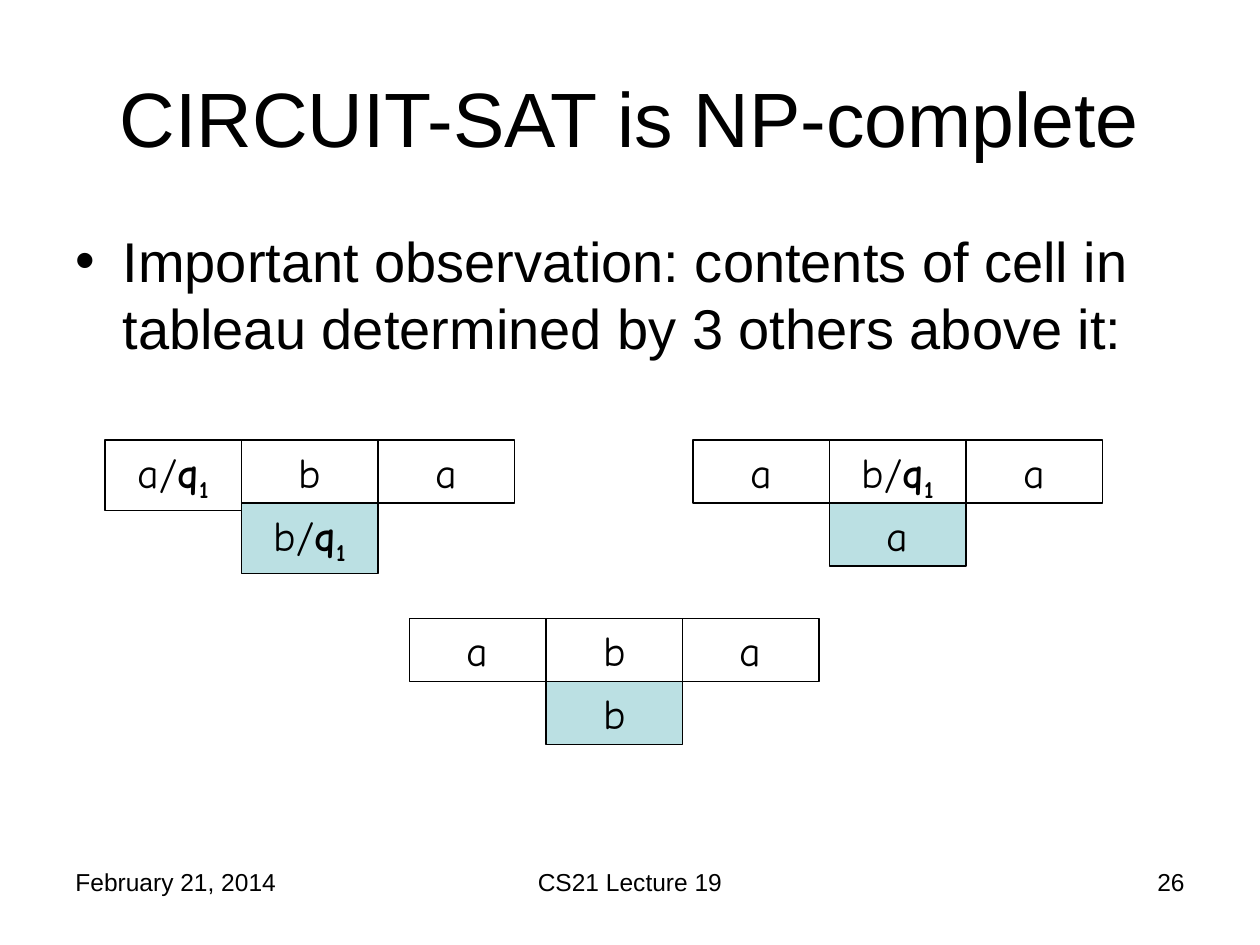
from dataclasses import dataclass

from lxml.etree import SubElement
from pptx import Presentation
from pptx.dml.color import RGBColor
from pptx.enum.shapes import MSO_SHAPE
from pptx.enum.text import MSO_ANCHOR, MSO_AUTO_SIZE, PP_ALIGN
from pptx.oxml.ns import qn
from pptx.util import Pt

PX = 7620  # EMU per px, 120 px to the inch


@dataclass(frozen=True)
class Theme:
    ink: RGBColor = RGBColor(0, 0, 0)
    teal: RGBColor = RGBColor(0xBB, 0xE0, 0xE3)
    sans: str = "Arial"
    hand: str = "Comic Neue"
    title: int = 44
    body: int = 32
    cell: int = 24
    foot: int = 14
    line: float = 0.75


THEME = Theme()


def emu(*sizes):
    return [size * PX for size in sizes]


def style(run, face, size):
    run.font.name = face
    run.font.size = Pt(size)
    run.font.color.rgb = THEME.ink


def add_text(slide, box, text, size, align=PP_ALIGN.LEFT, anchor=MSO_ANCHOR.TOP):
    frame = slide.shapes.add_textbox(*emu(*box)).text_frame
    frame.word_wrap = True
    frame.vertical_anchor = anchor
    frame.text = text
    para = frame.paragraphs[0]
    para.alignment = align
    style(para.runs[0], THEME.sans, size)
    return para


def add_title(slide, box):
    add_text(slide, box, "CIRCUIT-SAT is NP-complete", THEME.title,
             PP_ALIGN.CENTER, MSO_ANCHOR.MIDDLE)


def add_body(slide, box):
    para = add_text(slide, box, "Important observation: contents of cell in "
                    "tableau determined by 3 others above it:", THEME.body)
    # Hanging bullet
    props = para._p.get_or_add_pPr()
    indent = 45 * PX
    props.set("marL", str(indent))
    props.set("indent", str(-indent))
    SubElement(props, qn("a:buFont"), typeface=THEME.sans)
    SubElement(props, qn("a:buChar"), char="•")


def add_cell(slide, left, top, text, fill=None):
    # A cell that holds the head state is a little taller
    letter, slash, state = text.partition("/")
    high = 67 if state else 60
    cell = slide.shapes.add_shape(MSO_SHAPE.RECTANGLE, *emu(left, top, 130, high))
    cell.shadow.inherit = False
    cell.line.color.rgb = THEME.ink
    cell.line.width = Pt(THEME.line)
    if fill is None:
        cell.fill.background()
    else:
        cell.fill.solid()
        cell.fill.fore_color.rgb = fill

    frame = cell.text_frame
    frame.word_wrap = True
    frame.auto_size = MSO_AUTO_SIZE.SHAPE_TO_FIT_TEXT
    frame.vertical_anchor = MSO_ANCHOR.TOP
    frame.text = letter + slash
    para = frame.paragraphs[0]
    para.alignment = PP_ALIGN.CENTER
    for part in state:
        run = para.add_run()
        run.text = part
        run.font.bold = True
        if part.isdigit():
            run.font._element.set("baseline", "-25000")
    for run in para.runs:
        style(run, THEME.hand, THEME.cell)


def add_window(slide, left, top, above, below):
    # Three cells in a row, with the cell they determine under the middle
    for i, text in enumerate(above):
        add_cell(slide, left + i * 130, top, text)
    add_cell(slide, left + 130, top + 60, below, THEME.teal)


def add_footer(slide, left, top, width):
    high, side, mid = 62, 280, 380
    parts = [
        (left, side, "February 21, 2014", PP_ALIGN.LEFT),
        (left + (width - mid) // 2, mid, "CS21 Lecture 19", PP_ALIGN.CENTER),
        (left + width - side, side, "26", PP_ALIGN.RIGHT),
    ]
    for x, wide, text, align in parts:
        add_text(slide, (x, top, wide, high), text, THEME.foot, align)


def main():
    deck = Presentation()
    deck.slide_width, deck.slide_height = emu(1200, 900)
    slide = deck.slides.add_slide(deck.slide_layouts[6])

    add_title(slide, (60, 36, 1080, 150))
    add_body(slide, (60, 210, 1080, 150))
    add_window(slide, 100, 419, ["a/q1", "b", "a"], "b/q1")
    add_window(slide, 660, 419, ["a", "b/q1", "a"], "a")
    add_window(slide, 390, 589, ["a", "b", "a"], "b")
    add_footer(slide, 60, 820, 1080)

    deck.save("out.pptx")


if __name__ == "__main__":
    main()
